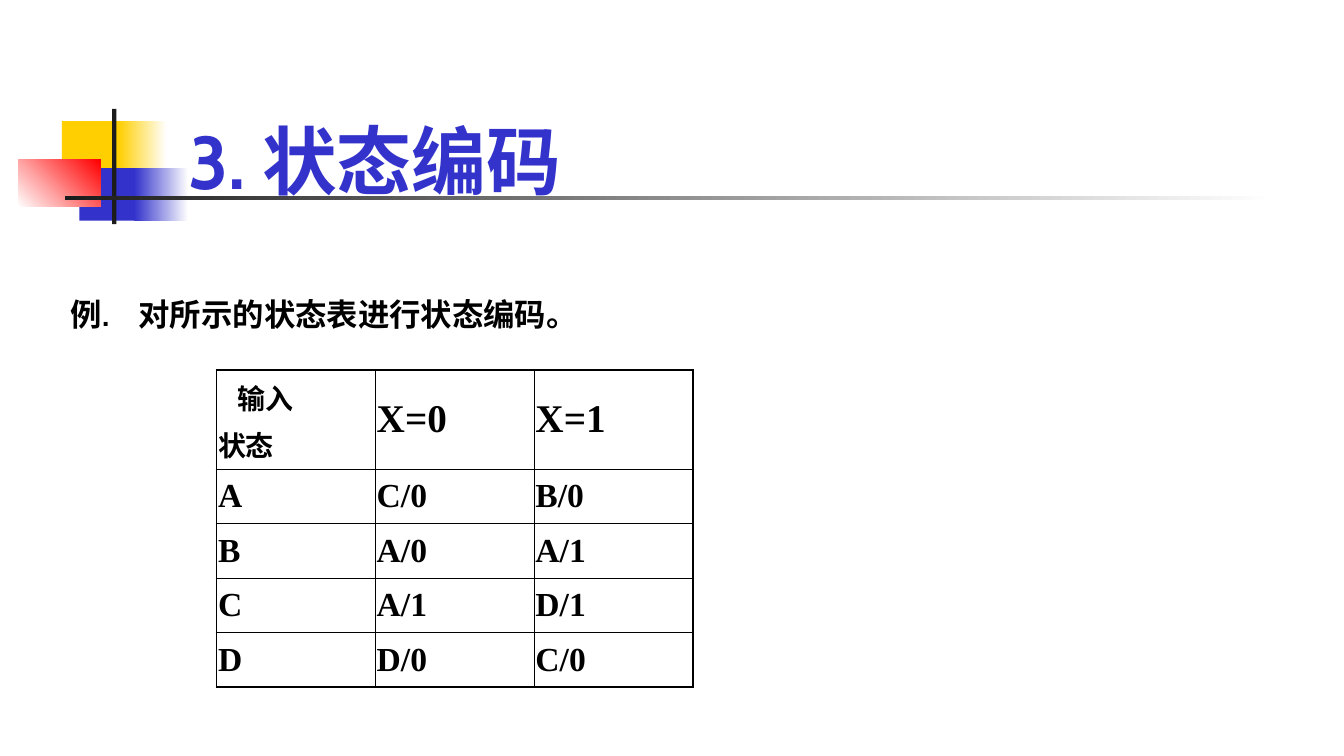
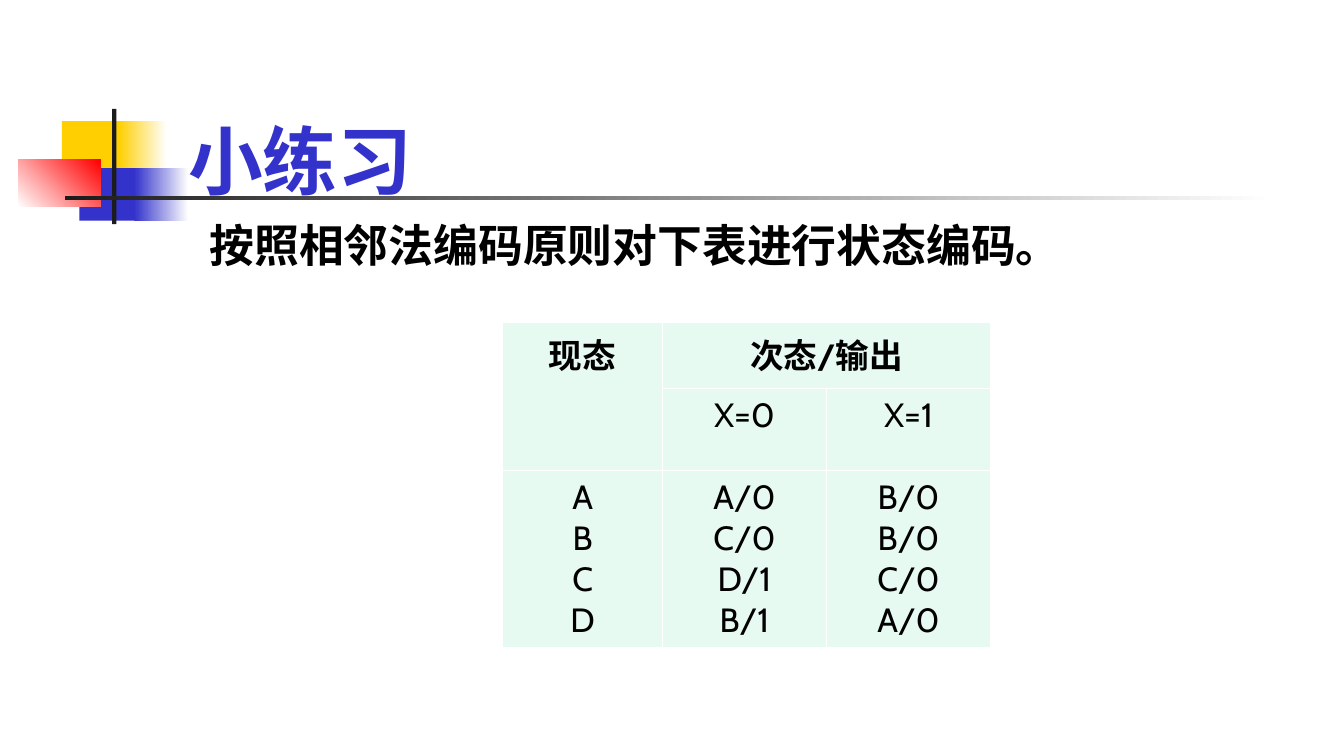
from lxml.etree import SubElement
from pptx import Presentation
from pptx.dml.color import RGBColor
from pptx.enum.shapes import MSO_SHAPE
from pptx.enum.text import MSO_ANCHOR, MSO_AUTO_SIZE, PP_ALIGN
from pptx.oxml.ns import qn
from pptx.util import Cm, Pt

COLORS = {
    "yellow": "FFCF01",
    "blue": "3333CC",
    "red": "FF0000",
    "dark": "1C1C1C",
    "white": "FFFFFF",
    "black": "000000",
    "mint": "E7FAF1",
}
HAN_FONT = "Noto Sans CJK SC"


def add_text(para, text, size, font="Cabin", color="black", bold=True):
    span = para.add_run()
    span.text = text
    span.font.name = font
    span.font.size = Pt(size)
    span.font.bold = bold
    span.font.color.rgb = RGBColor.from_string(COLORS[color])
    SubElement(span.font._element, qn("a:ea"), typeface=HAN_FONT)


def set_borders(cell, color, widths):
    properties = cell._tc.get_or_add_tcPr()
    for side, width in zip(("L", "R", "T", "B"), widths):
        line = SubElement(properties, qn(f"a:ln{side}"), w=str(Pt(width)))
        solid = SubElement(line, qn("a:solidFill"))
        SubElement(solid, qn("a:srgbClr"), val=COLORS[color])


deck = Presentation()
deck.slide_width, deck.slide_height = Cm(25.4), Cm(14.29)
layout = deck.slide_layouts[5]
coding_page = deck.slides.add_slide(layout)
exercise_page = deck.slides.add_slide(layout)

motif = [
    (1.17, 2.29, 1.22, 0.99, ["yellow"], 0),
    (2.24, 2.29, 0.91, 0.99, ["yellow", "white"], 0),
    (1.5, 3.18, 1.17, 0.99, ["blue"], 0),
    (2.54, 3.18, 1.02, 0.99, ["blue", "white"], 0),
    (0.35, 3.02, 1.55, 0.89, ["white", "red"], 45),
    (2.12, 2.06, 0.08, 2.18, ["dark"], 0),
    (1.23, 3.71, 22.86, 0.08, ["dark", "white"], 0),
]
for position, (left, top, width, height, colors, angle) in enumerate(motif, 2):
    block = coding_page.shapes.add_shape(
        MSO_SHAPE.RECTANGLE, Cm(left), Cm(top), Cm(width), Cm(height))
    block.shadow.inherit = False
    block.line.fill.background()
    if len(colors) == 1:
        block.fill.solid()
        block.fill.fore_color.rgb = RGBColor.from_string(COLORS[colors[0]])
    else:
        block.fill.gradient()
        block.fill.gradient_angle = angle
        for stop, color, place in zip(block.fill.gradient_stops, colors, (0, 1)):
            stop.color.rgb = RGBColor.from_string(COLORS[color])
            stop.position = place
    layout.shapes.element.insert(position, block.element)

for page, heading in ((coding_page, "3. 状态编码"), (exercise_page, "小练习")):
    title = page.shapes.title
    title.left, title.top = Cm(3.3), Cm(2.18)
    title.width, title.height = Cm(21.59), Cm(1.65)
    frame = title.text_frame
    frame.auto_size = MSO_AUTO_SIZE.NONE
    frame.vertical_anchor = MSO_ANCHOR.TOP
    frame.margin_top = frame.margin_bottom = 0
    frame.paragraphs[0].alignment = PP_ALIGN.LEFT
    add_text(frame.paragraphs[0], heading, 40, color="blue")

box = coding_page.shapes.add_textbox(Cm(1.09), Cm(5.64), Cm(14.83), Cm(1.5))
box.text_frame.word_wrap = True
para = box.text_frame.paragraphs[0]
para.line_spacing = 0.7
tabs = SubElement(para._p.get_or_add_pPr(), qn("a:tabLst"))
SubElement(tabs, qn("a:tab"), pos=str(Cm(1.28)), algn="l")
add_text(para, "例.\t对所示的状态表进行状态编码。", 16.8)

states = [
    ["输入\n状态", "X=0", "X=1"],
    ["A", "C/0", "B/0"],
    ["B", "A/0", "A/1"],
    ["C", "A/1", "D/1"],
    ["D", "D/0", "C/0"],
]
table = coding_page.shapes.add_table(
    5, 3, Cm(4.09), Cm(6.99), Cm(9), Cm(6)).table
table.first_row = table.horz_banding = False
for column in table.columns:
    column.width = Cm(3)
for index, row in enumerate(table.rows):
    row.height = Cm(1.03 if index else 1.88)
for r, values in enumerate(states):
    for c, value in enumerate(values):
        cell = table.cell(r, c)
        edges = (c == 0, c == 2, r == 0, r == 4)
        set_borders(cell, "black", [1.08 if outer else 0.45 for outer in edges])
        cell.fill.background()
        cell.margin_left = Cm(0.03)
        corner = r == 0 and c == 0
        cell.vertical_anchor = MSO_ANCHOR.TOP if corner else MSO_ANCHOR.MIDDLE
        size, space = (15, 3.7) if corner else (18, 4.5) if r else (21, 5.2)
        for n, line in enumerate(value.split("\n")):
            para = cell.text_frame.add_paragraph() if n else cell.text_frame.paragraphs[0]
            para.space_before = Pt(space)
            if line == "输入":
                para._p.get_or_add_pPr().set("marL", str(Cm(0.36)))
            add_text(para, line, size, font="Times New Roman")

transitions = [
    ["现态", "次态/输出", ""],
    ["", "X=0", "X=1"],
    ["A\nB\nC\nD", "A/0\nC/0\nD/1\nB/1", "B/0\nB/0\nC/0\nA/0"],
]
table = exercise_page.shapes.add_table(
    3, 3, Cm(9.5), Cm(6.1), Cm(9.22), Cm(6.14)).table
table.first_row = table.horz_banding = False
for column, width in zip(table.columns, (3.02, 3.1, 3.1)):
    column.width = Cm(width)
for row, height in zip(table.rows, (1.24, 1.55, 3.35)):
    row.height = Cm(height)
table.cell(0, 0).merge(table.cell(1, 0))
table.cell(0, 1).merge(table.cell(0, 2))
for r, values in enumerate(transitions):
    for c, value in enumerate(values):
        cell = table.cell(r, c)
        set_borders(cell, "white", [0.45] * 4)
        cell.fill.solid()
        cell.fill.fore_color.rgb = RGBColor.from_string(COLORS["mint"])
        cell.margin_left = cell.margin_right = Cm(0.2)
        if cell.is_spanned:
            continue
        for n, line in enumerate(value.split("\n")):
            para = cell.text_frame.add_paragraph() if n else cell.text_frame.paragraphs[0]
            para.alignment = PP_ALIGN.CENTER
            add_text(para, line, 18, bold=r == 0)

box = exercise_page.shapes.add_textbox(Cm(3.71), Cm(4.11), Cm(17.4), Cm(2.29))
box.text_frame.word_wrap = True
box.text_frame.margin_top = 0
add_text(box.text_frame.paragraphs[0], "按照相邻法编码原则对下表进行状态编码。", 24, font=HAN_FONT)

deck.save("out.pptx")
